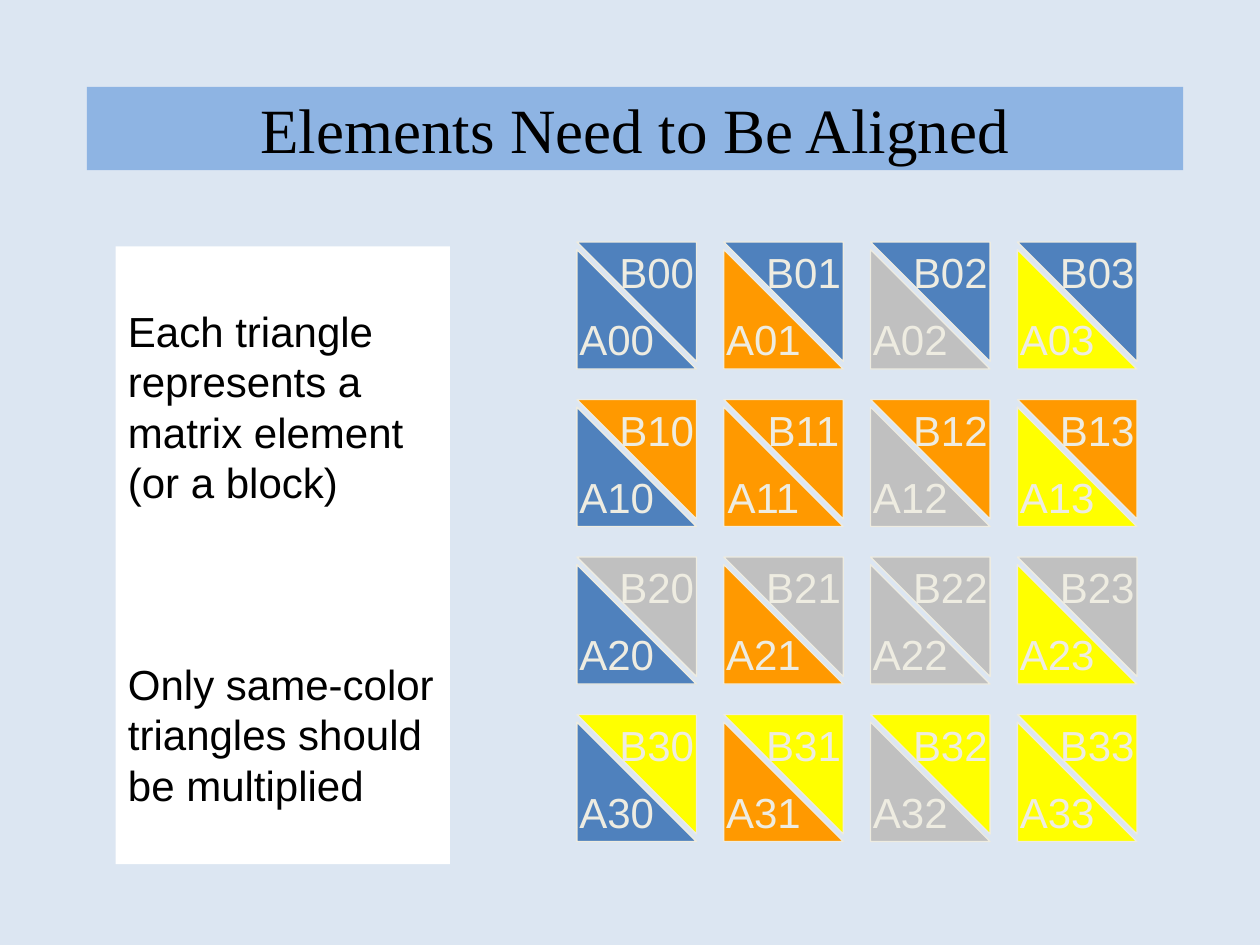
from pptx import Presentation
from pptx.dml.color import RGBColor
from pptx.enum.shapes import MSO_SHAPE
from pptx.enum.text import MSO_ANCHOR, MSO_AUTO_SIZE, PP_ALIGN
from pptx.util import Cm, Pt

RECT, TRI = MSO_SHAPE.RECTANGLE, MSO_SHAPE.RIGHT_TRIANGLE
TOP, MIDDLE = MSO_ANCHOR.TOP, MSO_ANCHOR.MIDDLE
LEFT, CENTER = PP_ALIGN.LEFT, PP_ALIGN.CENTER
NO_FIT = MSO_AUTO_SIZE.NONE

PALE = RGBColor(0xDC, 0xE6, 0xF2)
SKY = RGBColor(0x8E, 0xB4, 0xE3)
BLUE = RGBColor(0x4F, 0x81, 0xBD)
ORANGE = RGBColor(0xFF, 0x99, 0x00)
GRAY = RGBColor(0xC0, 0xC0, 0xC0)
YELLOW = RGBColor(0xFF, 0xFF, 0x00)
CREAM = RGBColor(0xEE, 0xEC, 0xE1)
WHITE = RGBColor(0xFF, 0xFF, 0xFF)
BLACK = RGBColor(0x00, 0x00, 0x00)


def fill(item, color):
    item.fill.solid()
    item.fill.fore_color.rgb = color


def write(para, text, size, color, align, face="Arial"):
    para.alignment = align
    run = para.add_run()
    run.text = text
    run.font.size = Pt(size)
    run.font.name = face
    run.font.color.rgb = color


prs = Presentation()
prs.slide_width, prs.slide_height = Cm(25.4), Cm(19.05)
slide = prs.slides.add_slide(prs.slide_layouts[5])
fill(slide.background, PALE)

# Title bar
title = slide.shapes.title
title.left, title.top = Cm(1.75), Cm(1.75)
title.width, title.height = Cm(22.1), Cm(1.68)
fill(title, SKY)
frame = title.text_frame
frame.auto_size = NO_FIT
frame.vertical_anchor = MIDDLE
write(frame.paragraphs[0], "Elements Need to Be Aligned", 36, BLACK, CENTER,
      "Times New Roman")

# Grid of triangle pairs: A is coloured by column, B by row
colors = [BLUE, ORANGE, GRAY, YELLOW]
side = Cm(2.41)
for row in range(4):
    for col in range(4):
        pair = [("A", 5.03, 0, colors[col]), ("B", 4.88, 180, colors[row])]
        for name, top, turn, color in pair:
            tri = slide.shapes.add_shape(
                TRI, Cm(11.63 + 2.96 * col), Cm(top + 3.175 * row), side, side)
            tri.shadow.inherit = False
            tri.rotation = turn
            fill(tri, color)
            tri.line.color.rgb = CREAM
            tri.line.width = Pt(0.75)
            frame = tri.text_frame
            frame.word_wrap = False
            frame.vertical_anchor = MIDDLE
            if turn:
                # Turn the label back upright
                body = frame._txBody.bodyPr
                body.set("rot", str(turn * 60000))
            write(frame.paragraphs[0], f"{name}{row}{col}", 24, CREAM, CENTER)

# Notes panel
panel = slide.shapes.add_shape(RECT, Cm(2.33), Cm(4.97), Cm(6.74), Cm(12.45))
panel.shadow.inherit = False
fill(panel, WHITE)
panel.line.fill.background()
frame = panel.text_frame
frame.word_wrap = True
frame.vertical_anchor = TOP
frame.margin_top = Cm(1.19)
pitch = 28.8
lines = [
    ("Each triangle", 0),
    ("represents a", 0),
    ("matrix element (or a block)", 0),
    ("Only same-color", 3 * pitch),
    ("triangles should", 0),
    ("be multiplied", 0),
]
for num, (text, gap) in enumerate(lines):
    para = frame.add_paragraph() if num else frame.paragraphs[0]
    para.line_spacing = Pt(pitch)
    para.space_before = Pt(gap)
    write(para, text, 24, BLACK, LEFT)

prs.save("out.pptx")
